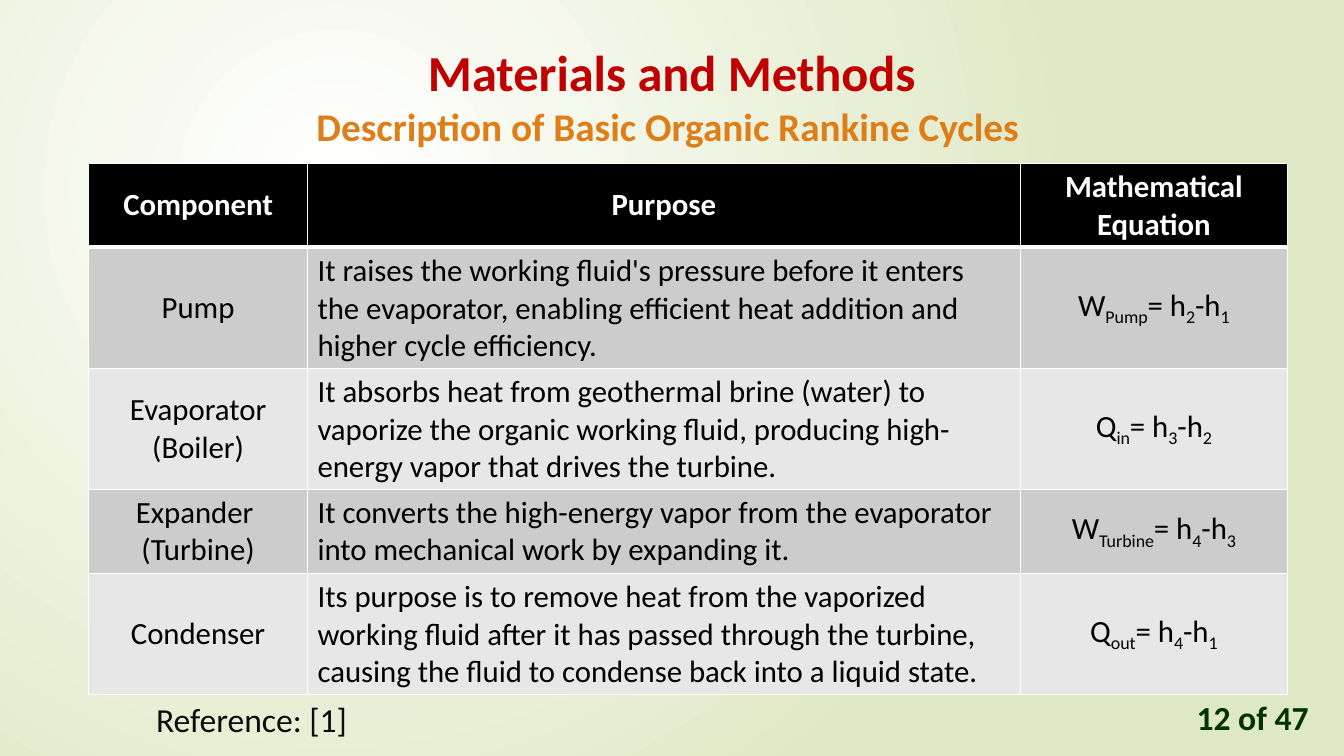
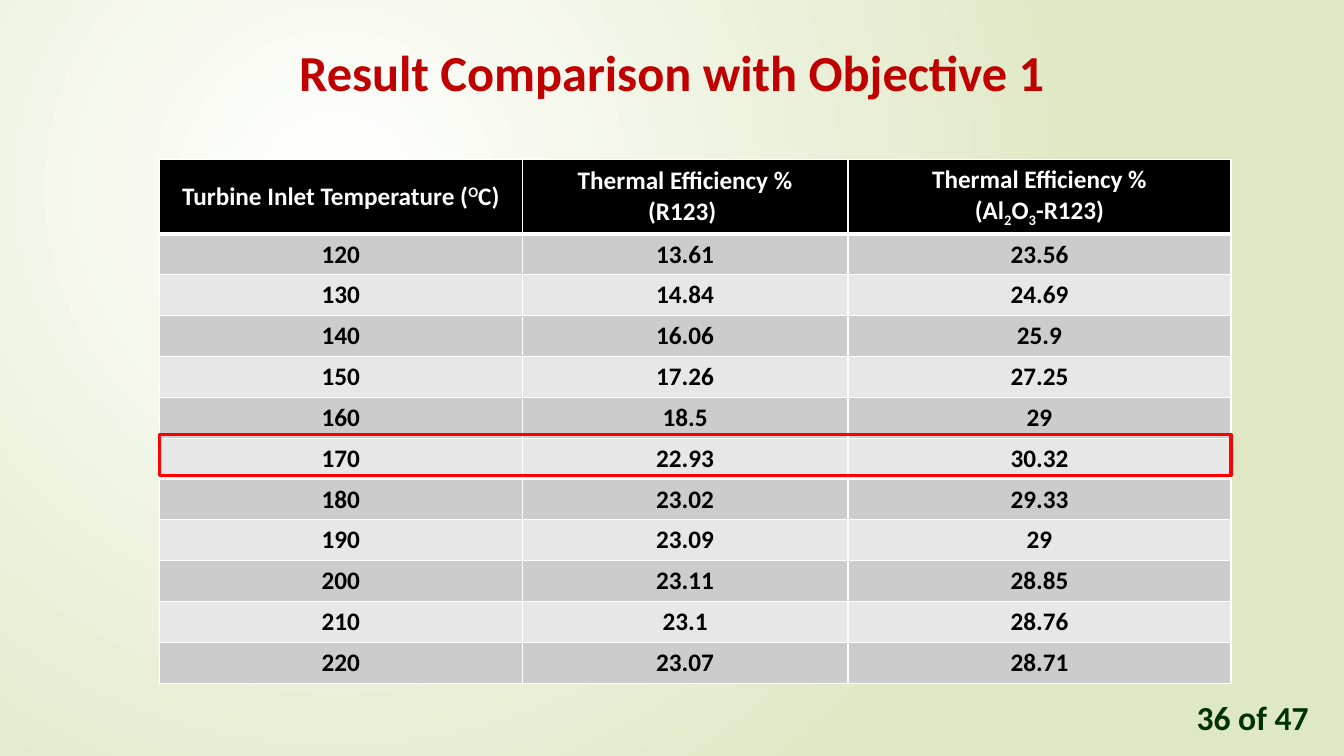
from dataclasses import dataclass

from lxml import etree
from pptx import Presentation
from pptx.dml.color import RGBColor
from pptx.enum.shapes import MSO_SHAPE
from pptx.enum.text import MSO_ANCHOR, MSO_AUTO_SIZE, PP_ALIGN
from pptx.oxml.ns import qn
from pptx.util import Emu, Pt

LEFT, CENTER = PP_ALIGN.LEFT, PP_ALIGN.CENTER
TOP, MIDDLE = MSO_ANCHOR.TOP, MSO_ANCHOR.MIDDLE
NO_AUTOFIT = MSO_AUTO_SIZE.NONE
RECTANGLE = MSO_SHAPE.RECTANGLE

EMU_PER_PX = 9144  # 100 px to the inch
SLIDE_WIDTH, SLIDE_HEIGHT = 1333, 750
TITLE_ONLY = 5
PAGE_COUNT = 47
SUB, SUPER = -25, 30  # baseline shift in percent


@dataclass(frozen=True)
class Theme:
    font: str = "Calibri"
    glow: str = "FFFFFF"
    backdrop: str = "DFE8C4"
    title: str = "C00000"
    subtitle: str = "DE7E18"
    reference: str = "0D0D0D"
    page_number: str = "003300"
    header_fill: str = "000000"
    header_text: str = "FFFFFF"
    body_text: str = "000000"
    bands: tuple = ("CCCCCC", "E7E7E7")
    border: str = "FFFFFF"
    highlight: str = "FF0000"
    title_size: int = 36
    subtitle_size: int = 28
    note_size: int = 24
    thin_border: int = 1
    thick_border: int = 3
    highlight_width: float = 2.25


THEME = Theme()


def px(length):
    return Emu(round(length * EMU_PER_PX))


def rgb(colour):
    return RGBColor.from_string(colour)


# Text: a paragraph is a string or a list of spans; a span is a string
# or a (text, baseline) pair.
def write_para(para, text, *, size, color, bold=False, align=LEFT):
    para.alignment = align
    for part in [text] if isinstance(text, str) else text:
        words, baseline = (part, 0) if isinstance(part, str) else part
        span = para.add_run()
        span.text = words
        span.font.name = THEME.font
        span.font.size = Pt(size)
        span.font.bold = bold
        span.font.color.rgb = rgb(color)
        if baseline:
            span._r.get_or_add_rPr().set("baseline", str(baseline * 1000))


def write_paras(frame, paras, **text_format):
    for index, text in enumerate(paras):
        para = frame.add_paragraph() if index else frame.paragraphs[0]
        write_para(para, text, **text_format)


def add_label(page, text, left, top, width, height, **text_format):
    box = page.shapes.add_textbox(px(left), px(top), px(width), px(height))
    box.text_frame.word_wrap = True
    write_para(box.text_frame.paragraphs[0], text, size=THEME.note_size, **text_format)


# Shared slide parts
def set_backdrop(master):
    fill = master.background.fill
    fill.gradient()
    for stop, colour in zip(fill.gradient_stops, (THEME.glow, THEME.backdrop)):
        stop.color.rgb = rgb(colour)
    gradient = master.element.cSld.find(".//" + qn("a:gradFill"))
    gradient.remove(gradient.find(qn("a:lin")))
    circle = etree.SubElement(gradient, qn("a:path"), path="circle")
    etree.SubElement(circle, qn("a:fillToRect"),
                     l="50000", t="50000", r="100000", b="100000")


def add_page(deck, number, title, subtitle=None):
    page = deck.slides.add_slide(deck.slide_layouts[TITLE_ONLY])
    box = page.shapes.title
    box.left, box.top = px(0), px(36)
    box.width, box.height = px(SLIDE_WIDTH), px(134 if subtitle else 75)
    frame = box.text_frame
    frame.auto_size = NO_AUTOFIT
    frame.vertical_anchor = TOP
    write_para(frame.paragraphs[0], title, size=THEME.title_size,
               color=THEME.title, bold=True, align=CENTER)
    if subtitle:
        write_para(frame.add_paragraph(), subtitle, size=THEME.subtitle_size,
                   color=THEME.subtitle, bold=True, align=CENTER)
    add_label(page, f"{number} of {PAGE_COUNT}", 1177, 686, 140, 50,
              color=THEME.page_number, bold=True)
    return page


# Tables
def set_borders(cell, top, bottom):
    properties = cell._tc.get_or_add_tcPr()
    thin = THEME.thin_border
    sides = (("L", thin), ("R", thin), ("T", top), ("B", bottom))
    for index, (side, width) in enumerate(sides):
        line = etree.Element(qn("a:ln" + side), w=str(Pt(width)))
        fill = etree.SubElement(line, qn("a:solidFill"))
        etree.SubElement(fill, qn("a:srgbClr"), val=THEME.border)
        properties.insert(index, line)


def add_grid(page, rows, left, top, widths, heights, *, size, body_bold, left_column=None):
    """Each cell is a list of paragraphs; the first row is the header."""
    table = page.shapes.add_table(len(rows), len(widths), px(left), px(top),
                                  px(sum(widths)), px(sum(heights))).table
    for column, width in zip(table.columns, widths):
        column.width = px(width)
    for row_index, (cells, height) in enumerate(zip(rows, heights)):
        table.rows[row_index].height = px(height)
        header = row_index == 0
        band = THEME.bands[(row_index - 1) % len(THEME.bands)]
        for column_index, paras in enumerate(cells):
            cell = table.cell(row_index, column_index)
            cell.vertical_anchor = MIDDLE
            cell.fill.solid()
            cell.fill.fore_color.rgb = rgb(THEME.header_fill if header else band)
            set_borders(cell,
                        top=THEME.thick_border if row_index == 1 else THEME.thin_border,
                        bottom=THEME.thick_border if header else THEME.thin_border)
            aligned_left = column_index == left_column and not header
            write_paras(cell.text_frame, paras, size=size,
                        color=THEME.header_text if header else THEME.body_text,
                        bold=header or body_bold,
                        align=LEFT if aligned_left else CENTER)


def add_highlight(page, left, top, width, height):
    frame = page.shapes.add_shape(RECTANGLE, px(left), px(top), px(width), px(height))
    frame.shadow.inherit = False
    frame.fill.background()
    frame.line.color.rgb = rgb(THEME.highlight)
    frame.line.width = Pt(THEME.highlight_width)


# Content
def energy_balance(symbol, label, outlet, inlet):
    return [[symbol, (label, SUB), "= h", (outlet, SUB), "-h", (inlet, SUB)]]


COMPONENTS = [
    [["Component"], ["Purpose"], ["Mathematical Equation"]],
    [["Pump"],
     ["It raises the working fluid's pressure before it enters the evaporator, "
      "enabling efficient heat addition and higher cycle efficiency."],
     energy_balance("W", "Pump", "2", "1")],
    [["Evaporator", "(Boiler)"],
     ["It absorbs heat from geothermal brine (water) to vaporize the organic "
      "working fluid, producing high-energy vapor that drives the turbine."],
     energy_balance("Q", "in", "3", "2")],
    [["Expander ", "(Turbine)"],
     ["It converts the high-energy vapor from the evaporator into mechanical "
      "work by expanding it."],
     energy_balance("W", "Turbine", "4", "3")],
    [["Condenser"],
     ["Its purpose is to remove heat from the vaporized working fluid after it has "
      "passed through the turbine, causing the fluid to condense back into a "
      "liquid state."],
     energy_balance("Q", "out", "4", "1")],
]

EFFICIENCY_HEADER = [
    [["Turbine Inlet Temperature (", ("O", SUPER), "C)"]],
    ["Thermal Efficiency %", "(R123) "],
    ["Thermal Efficiency %", ["(Al", ("2", SUB), "O", ("3", SUB), "-R123)"]],
]
EFFICIENCIES = [
    (120, 13.61, 23.56),
    (130, 14.84, 24.69),
    (140, 16.06, 25.9),
    (150, 17.26, 27.25),
    (160, 18.5, 29),
    (170, 22.93, 30.32),
    (180, 23.02, 29.33),
    (190, 23.09, 29),
    (200, 23.11, 28.85),
    (210, 23.1, 28.76),
    (220, 23.07, 28.71),
]


def build_components_page(deck):
    page = add_page(deck, 12, "Materials and Methods",
                    "Description of Basic Organic Rankine Cycles ")
    add_label(page, "Reference: [1]", 145, 688, 212, 50, color=THEME.reference)
    two_lines, three_lines = 83, 120
    add_grid(page, COMPONENTS, 88, 162, [217, 707, 265],
             [two_lines, three_lines, three_lines, two_lines, three_lines],
             size=22, body_bold=False, left_column=1)


def build_comparison_page(deck):
    page = add_page(deck, 36, "Result Comparison with Objective 1")
    left, widths = 158, [360, 323, 380]
    header_height, body_height = 74, 446
    row_height = body_height / len(EFFICIENCIES)
    body = [[[str(value)] for value in values] for values in EFFICIENCIES]
    add_grid(page, [EFFICIENCY_HEADER] + body, left, 158, widths,
             [header_height] + [row_height] * len(body), size=18, body_bold=True)
    add_highlight(page, left, 431, sum(widths), 41)


def main():
    deck = Presentation()
    deck.slide_width, deck.slide_height = px(SLIDE_WIDTH), px(SLIDE_HEIGHT)
    set_backdrop(deck.slide_master)
    build_components_page(deck)
    build_comparison_page(deck)
    deck.save("out.pptx")


if __name__ == "__main__":
    main()
